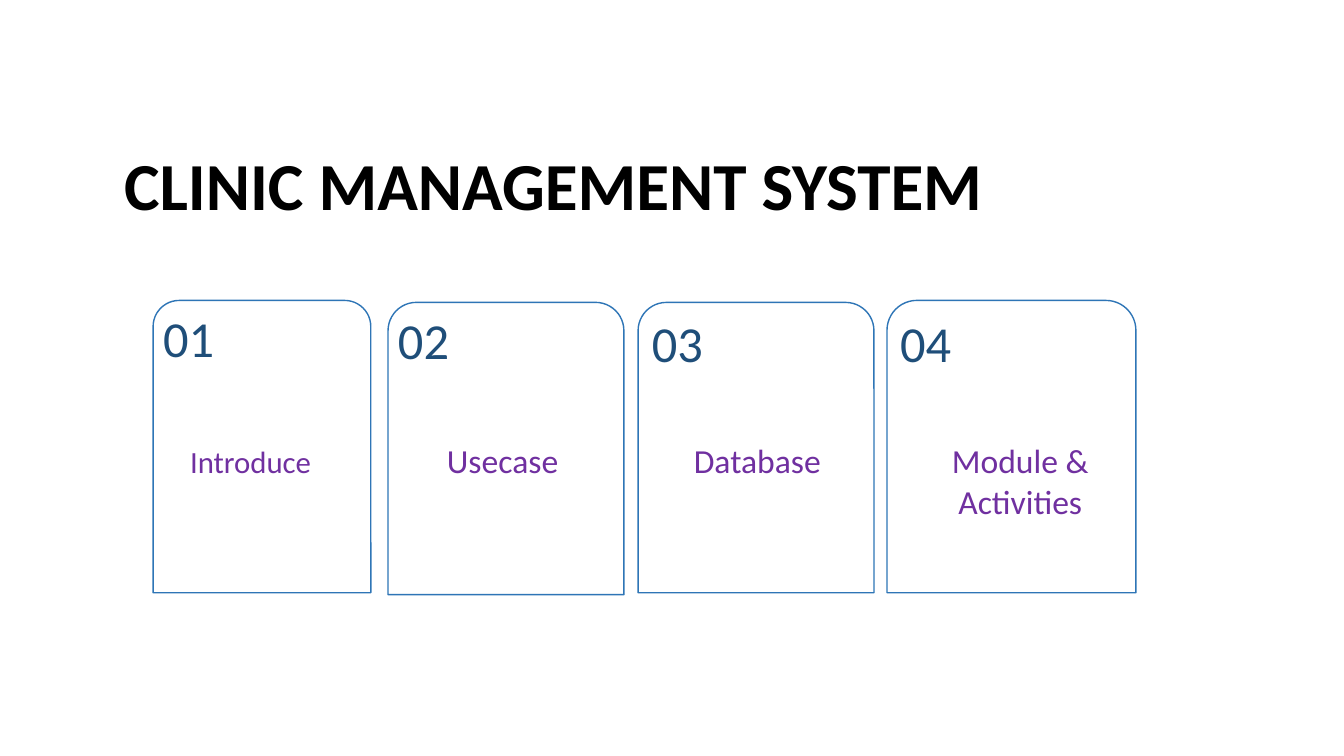
from pptx import Presentation
from pptx.dml.color import RGBColor
from pptx.enum.shapes import MSO_SHAPE as Preset
from pptx.enum.text import MSO_ANCHOR as Anchor, MSO_AUTO_SIZE as AutoSize, PP_ALIGN as Align
from pptx.util import Pt


def colour(hex_code):
    return RGBColor.from_string(hex_code)


class AgendaSlide:
    """Holds the style and the current slide, and draws its elements."""

    font = "Calibri"
    title_ink, number_ink, label_ink = "000000", "1F4E79", "7030A0"
    card_fill, card_line = "FFFFFF", "2E75B6"

    def __init__(self, deck):
        self.slide = deck.slides.add_slide(deck.slide_layouts[5])

    def fill_text(self, frame, text, size, ink, align=Align.LEFT, bold=False):
        frame.word_wrap = True
        frame.auto_size = AutoSize.NONE
        frame.text = text
        for paragraph in frame.paragraphs:
            paragraph.alignment = align
            paragraph.font.name = self.font
            paragraph.font.size = Pt(size)
            paragraph.font.bold = bold
            paragraph.font.color.rgb = colour(ink)

    def title(self, text, left, top, width, height):
        heading = self.slide.shapes.title
        heading.left, heading.top = Pt(left), Pt(top)
        heading.width, heading.height = Pt(width), Pt(height)
        heading.text_frame.vertical_anchor = Anchor.TOP
        self.fill_text(heading.text_frame, text, 48, self.title_ink, bold=True)

    def card(self, left, top, width, height):
        panel = self.slide.shapes.add_shape(
            Preset.ROUND_2_SAME_RECTANGLE, Pt(left), Pt(top), Pt(width), Pt(height))
        panel.adjustments[0] = 0.12
        panel.adjustments[1] = 0
        panel.shadow.inherit = False
        panel.fill.solid()
        panel.fill.fore_color.rgb = colour(self.card_fill)
        panel.line.color.rgb = colour(self.card_line)
        panel.line.width = Pt(1)

    def text(self, text, left, top, width, height, size, ink, align=Align.LEFT):
        box = self.slide.shapes.add_textbox(Pt(left), Pt(top), Pt(width), Pt(height))
        self.fill_text(box.text_frame, text, size, ink, align)

    def number(self, text, left, top):
        self.text(text, left, top, 176, 52, 36, self.number_ink)

    def label(self, text, centre, top, size):
        width = 180
        height = 36 + 29 * text.count("\n")
        self.text(text, centre - width / 2, top, width, height, size,
                  self.label_ink, Align.CENTER)


def main():
    deck = Presentation()
    deck.slide_width, deck.slide_height = Pt(960), Pt(540)
    agenda = AgendaSlide(deck)
    agenda.title("CLINIC MANAGEMENT SYSTEM", 81.4, 98.6, 799.2, 59.8)
    sections = [
        ("Introduce", 22, 179, 312.8, (109.4, 214.6, 155.5, 208.8), (109.4, 216)),
        ("Usecase", 24, 359, 311, (277.2, 216, 168.5, 208.8), (277.2, 217.4)),
        ("Database", 24, 541, 311, (455.8, 216, 168.5, 207.4), (458.6, 219.6)),
        ("Module &\nActivities", 24, 728.8, 311, (633.6, 214.6, 177.8, 208.8), (635.8, 219.6)),
    ]
    for index, (name, size, centre, top, card, number) in enumerate(sections, 1):
        agenda.card(*card)
        agenda.number(f"{index:02d}", *number)
        agenda.label(name, centre, top, size)
    deck.save("out.pptx")


if __name__ == "__main__":
    main()
